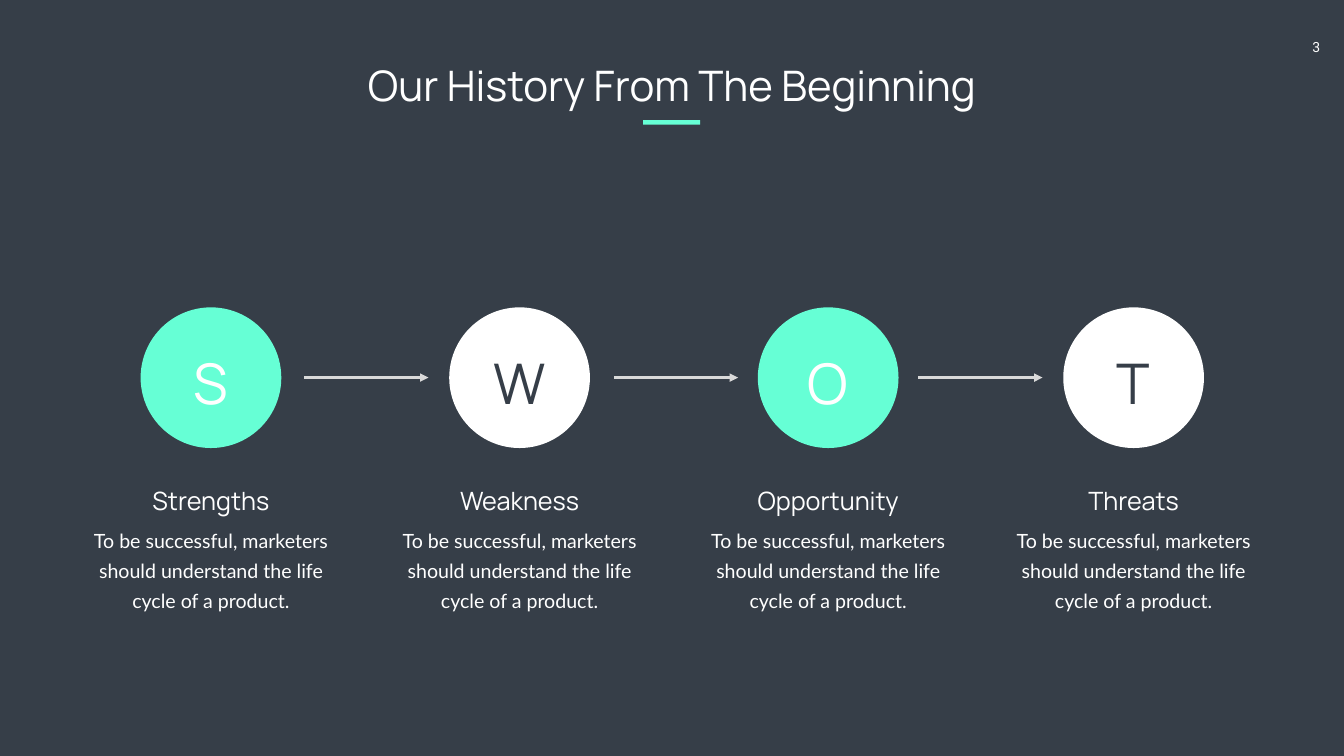
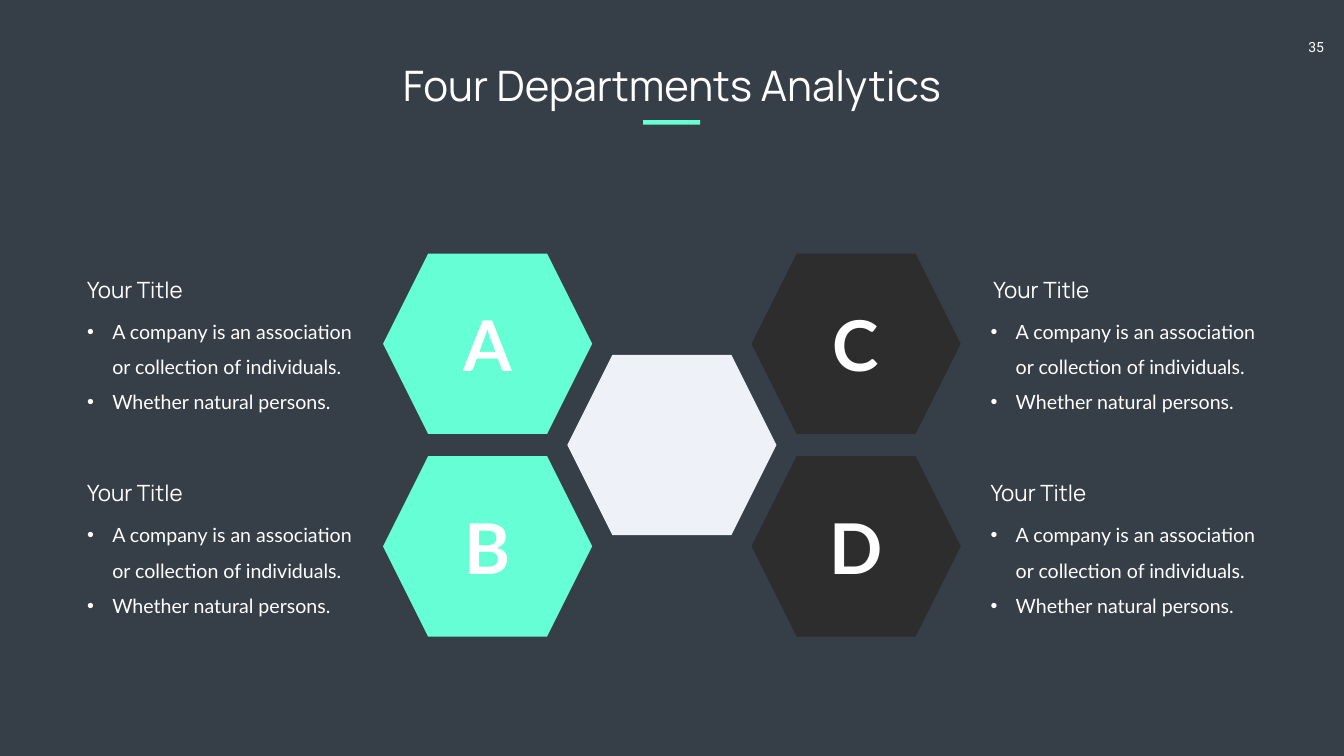
from dataclasses import dataclass

from lxml.etree import SubElement
from pptx import Presentation
from pptx.dml.color import RGBColor
from pptx.enum.shapes import MSO_CONNECTOR, MSO_SHAPE
from pptx.enum.text import MSO_AUTO_SIZE, PP_ALIGN
from pptx.oxml.ns import qn
from pptx.util import Cm, Pt


@dataclass(frozen=True)
class Theme:
    background: str = "363E48"
    accent: str = "66FFD5"
    white: str = "FFFFFF"
    dark: str = "2C2D2C"
    pale: str = "EFF1F8"
    arrow: str = "D9D9D9"
    heading_font: str = "Manrope"
    body_font: str = "Lato"
    number_font: str = "Roboto"
    title_size: int = 60
    label_size: int = 36
    subtitle_size: int = 32
    body_size: int = 28
    number_size: int = 20
    swot_size: int = 80
    department_size: int = 100


THEME = Theme()
SLIDE_W, SLIDE_H = 67.72, 38.1

SWOT_TEXT = "To be successful, marketers should understand the life cycle of a product."
SWOT = [  # word, centre of its column, circle colour, letter colour
    ("Strengths", 10.63, THEME.accent, THEME.white),
    ("Weakness", 26.18, THEME.white, THEME.background),
    ("Opportunity", 41.73, THEME.accent, THEME.white),
    ("Threats", 57.12, THEME.white, THEME.background),
]
ARROW_STARTS = [15.34, 30.94, 46.28]

DEPARTMENT_POINTS = [
    "A company is an association or collection of individuals.",
    "Whether natural persons.",
]
HEX_W, HEX_H = 10.54, 9.09
HEX_LEFTS, HEX_TOPS = (19.3, 37.87), (12.78, 22.99)
DEPARTMENTS = [  # letter, column, row, colour, left of subtitle, left of points
    ("A", 0, 0, THEME.accent, 4.14, 4.14),
    ("B", 0, 1, THEME.accent, 4.14, 4.14),
    ("C", 1, 0, THEME.dark, 49.81, 49.66),
    ("D", 1, 1, THEME.dark, 49.66, 49.66),
]


def rgb(color):
    return RGBColor.from_string(color)


def add_bullet(p):
    pPr = p._p.get_or_add_pPr()
    pPr.set("marL", str(Cm(1.27)))
    pPr.set("indent", str(-Cm(1.27)))
    SubElement(pPr, qn("a:buFont"), typeface="Arial")
    SubElement(pPr, qn("a:buChar"), char="•")


def add_text(parent, text, x, y, w, h, *, size, font=THEME.body_font,
             color=THEME.white, bold=False, align=PP_ALIGN.CENTER,
             spacing=None, bullets=False, wrap=True, insets=None):
    """Add a text box; text is a string or a list of paragraphs."""
    sp = parent.shapes.add_textbox(Cm(x), Cm(y), Cm(w), Cm(h))
    tf = sp.text_frame
    tf.word_wrap = wrap
    tf.auto_size = MSO_AUTO_SIZE.SHAPE_TO_FIT_TEXT
    if insets:
        (tf.margin_left, tf.margin_top,
         tf.margin_right, tf.margin_bottom) = map(Cm, insets)
    for i, line in enumerate([text] if isinstance(text, str) else text):
        p = tf.add_paragraph() if i else tf.paragraphs[0]
        p.alignment = align
        if spacing:
            p.line_spacing = spacing
        if bullets:
            add_bullet(p)
        r = p.add_run()
        r.text = line
        r.font.size = Pt(size)
        r.font.name = font
        r.font.bold = bold
        r.font.color.rgb = rgb(color)
    return sp


def add_block(parent, kind, x, y, w, h, color):
    """Add a flat preset shape without outline."""
    sp = parent.shapes.add_shape(kind, Cm(x), Cm(y), Cm(w), Cm(h))
    sp.shadow.inherit = False
    sp.fill.solid()
    sp.fill.fore_color.rgb = rgb(color)
    sp.line.fill.background()
    return sp


def add_arrow(s, x, y, length):
    c = s.shapes.add_connector(MSO_CONNECTOR.STRAIGHT,
                               Cm(x), Cm(y), Cm(x + length), Cm(y))
    c.line.width = Pt(4)
    c.line.color.rgb = rgb(THEME.arrow)
    spPr = c._element.spPr
    SubElement(spPr.find(qn("a:ln")), qn("a:tailEnd"), type="triangle")
    SubElement(spPr, qn("a:effectLst"))


def add_slide(prs, title, number):
    """Add a slide with page number, title and accent bar."""
    s = prs.slides.add_slide(prs.slide_layouts[6])
    add_text(s, str(number), 65.25, 1.7, 2.57, 1.37, size=THEME.number_size,
             font=THEME.number_font, insets=(0.51, 0.25, 0.94, 0.25))
    header = s.shapes.add_group_shape()
    add_text(header, title, 15.24, 2.87, 37.24, 2.82,
             size=THEME.title_size, font=THEME.heading_font)
    add_block(header, MSO_SHAPE.RECTANGLE, 32.41, 6.05, 2.87, 0.23, THEME.accent)
    return s


def add_swot_step(s, word, center, fill, letter_color):
    diameter, letter_w, text_w = 7.09, 5.36, 12.4
    add_block(s, MSO_SHAPE.OVAL, center - diameter / 2, 15.49,
              diameter, diameter, fill)
    add_text(s, word[0], center - letter_w / 2, 17.42, letter_w, 3.68,
             size=THEME.swot_size, font=THEME.heading_font, color=letter_color)
    left = center - text_w / 2
    add_text(s, word, left, 24.33, text_w, 1.8,
             size=THEME.label_size, font=THEME.heading_font)
    add_text(s, SWOT_TEXT, left, 26.19, text_w, 4.67,
             size=THEME.body_size, spacing=Pt(43))


def add_hexagon(parent, x, y, color):
    add_block(parent, MSO_SHAPE.HEXAGON, x, y, HEX_W, HEX_H, color)


def add_department(parent, letter, column, row, color, subtitle_x, points_x):
    x, y = HEX_LEFTS[column], HEX_TOPS[row]
    add_hexagon(parent, x, y, color)
    add_text(parent, letter, x + 2.51, y + 2.3, 5.51, 4.52,
             size=THEME.department_size, bold=True)
    text_y = 13.77 + 10.26 * row
    add_text(parent, DEPARTMENT_POINTS, points_x, text_y + 1.62, 13.92, 5.42,
             size=THEME.body_size, align=PP_ALIGN.LEFT, spacing=1.5, bullets=True)
    add_text(parent, "Your Title", subtitle_x, text_y, 5.77, 1.62,
             size=THEME.subtitle_size, font=THEME.heading_font,
             align=PP_ALIGN.LEFT, wrap=False)


def build_history(prs):
    s = add_slide(prs, "Our History From The Beginning", 3)
    for step in SWOT:
        add_swot_step(s, *step)
    for x in ARROW_STARTS:
        add_arrow(s, x, 19.03, 6.25)


def build_departments(prs):
    s = add_slide(prs, "Four Departments Analytics", 35)
    diagram = s.shapes.add_group_shape()
    for department in DEPARTMENTS:
        add_department(diagram, *department)
    add_hexagon(diagram, sum(HEX_LEFTS) / 2, sum(HEX_TOPS) / 2, THEME.pale)


def main():
    prs = Presentation()
    prs.slide_width, prs.slide_height = Cm(SLIDE_W), Cm(SLIDE_H)
    fill = prs.slide_master.background.fill
    fill.solid()
    fill.fore_color.rgb = rgb(THEME.background)
    build_history(prs)
    build_departments(prs)
    prs.save("out.pptx")


if __name__ == "__main__":
    main()
